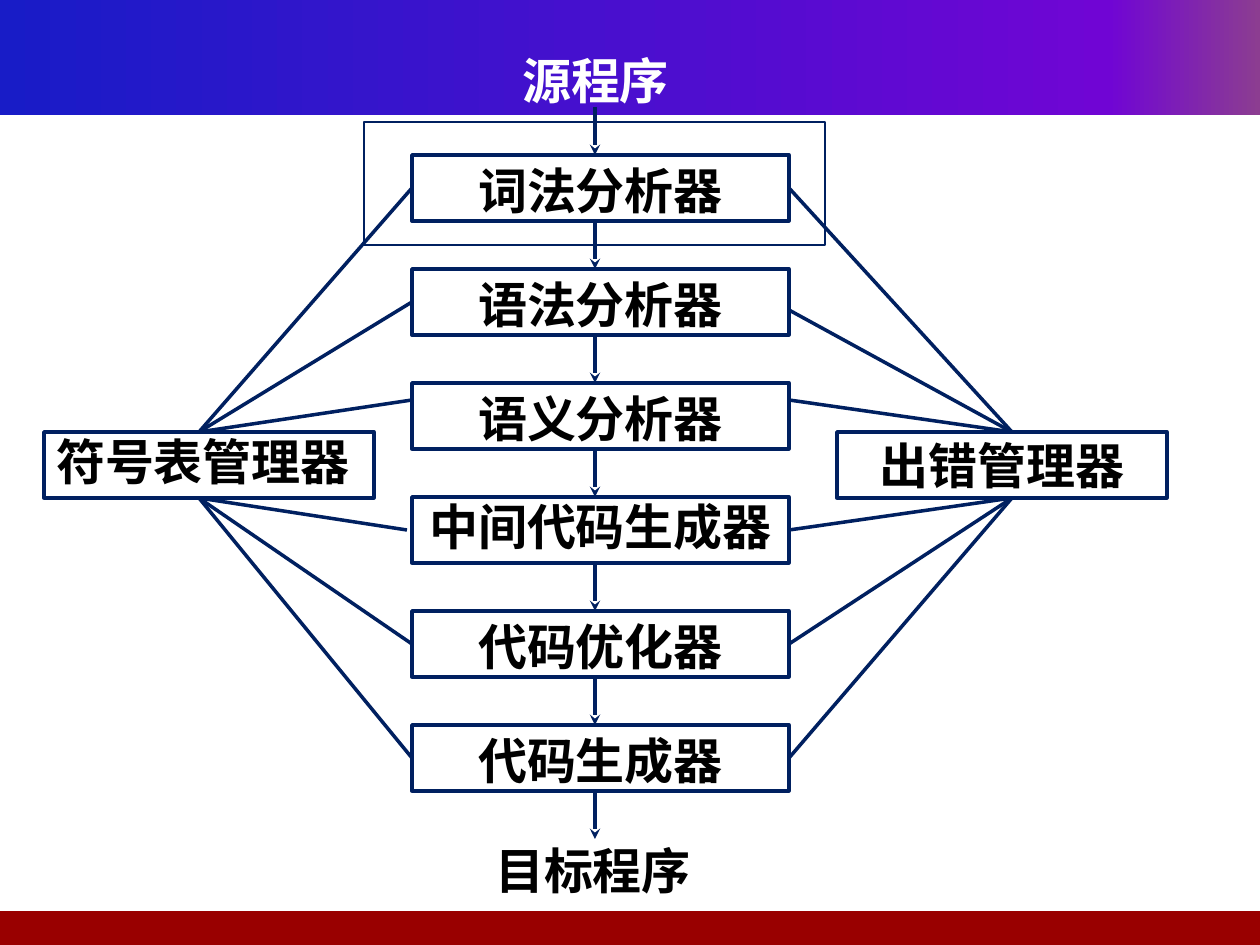
from copy import deepcopy

from lxml import etree
from pptx import Presentation
from pptx.dml.color import RGBColor
from pptx.enum.shapes import MSO_CONNECTOR, MSO_SHAPE
from pptx.enum.text import MSO_ANCHOR, PP_ALIGN
from pptx.oxml.ns import qn
from pptx.util import Emu, Pt

RECTANGLE = MSO_SHAPE.RECTANGLE
STRAIGHT = MSO_CONNECTOR.STRAIGHT
CENTER = PP_ALIGN.CENTER
TOP, MIDDLE = MSO_ANCHOR.TOP, MSO_ANCHOR.MIDDLE
LEFT_SIDE, RIGHT_SIDE = 1, 3

NAVY = RGBColor(0x00, 0x20, 0x60)
BLACK = RGBColor(0x00, 0x00, 0x00)
WHITE = RGBColor(0xFF, 0xFF, 0xFF)
DARK_RED = RGBColor(0x99, 0x00, 0x00)
HEADER_STOPS = [
    (0, RGBColor(0x18, 0x1C, 0xC7)),
    (0.88, RGBColor(0x70, 0x05, 0xD4)),
    (1, RGBColor(0x8C, 0x3D, 0x91)),
]

FONT = "Noto Sans CJK SC"
INSETS = (13, 6, 13, 6)
LOW_INSETS = (13, 0, 13, 6)
SHIFTED_INSETS = (8, 0, 20, 6)

STAGES = ["词法分析器", "语法分析器", "语义分析器", "中间代码生成器", "代码优化器", "代码生成器"]
STAGE_LEFT, STAGE_TOP, STAGE_WIDTH, STEP = 412, 155, 377, 114
BOX_HEIGHT = 66
STAGE_RIGHT = STAGE_LEFT + STAGE_WIDTH
MANAGER_TOP, MANAGER_WIDTH = 432, 330
FLOW_X, ARROW_LENGTH = 595, 48
SYMBOL_HUB, ERROR_HUB = 199, 1012
UPPER_STAGES = 3


def px(length):
    """Turn pixels at 126 to the inch into EMU."""
    return Emu(round(length * 914400 / 126))


class Diagram:
    """Holds the shared style and the slide being drawn."""

    def __init__(self, slide):
        self.slide = slide

    def rectangle(self, x, y, width, height, line_width=None):
        shape = self.slide.shapes.add_shape(RECTANGLE, px(x), px(y), px(width), px(height))
        shape.shadow.inherit = False
        shape.fill.background()
        if line_width:
            shape.line.color.rgb = NAVY
            shape.line.width = Pt(line_width)
        else:
            shape.line.fill.background()
        return shape

    def band(self, x, y, width, height, color):
        fill = self.rectangle(x, y, width, height).fill
        fill.solid()
        fill.fore_color.rgb = color

    def gradient_band(self, x, y, width, height, stops):
        band = self.rectangle(x, y, width, height)
        band.fill.gradient()
        band.fill.gradient_angle = 0
        elements = band._element.spPr.find(".//" + qn("a:gsLst"))
        while len(elements) < len(stops):
            elements.append(deepcopy(elements[-1]))
        for stop, (position, color) in zip(band.fill.gradient_stops, stops):
            stop.position = position
            stop.color.rgb = color

    def set_text(self, shape, words, color=BLACK, insets=INSETS, anchor=TOP):
        frame = shape.text_frame
        frame.word_wrap = True
        frame.vertical_anchor = anchor
        (frame.margin_left, frame.margin_top,
         frame.margin_right, frame.margin_bottom) = map(px, insets)
        paragraph = frame.paragraphs[0]
        paragraph.alignment = CENTER
        run = paragraph.add_run()
        run.text = words
        run.font.name = FONT
        run.font.size = Pt(28)
        run.font.bold = True
        run.font.color.rgb = color
        etree.SubElement(run._r.get_or_add_rPr(), qn("a:ea"), typeface=FONT)

    def box(self, x, y, width, words, insets=INSETS, anchor=TOP):
        shape = self.rectangle(x, y, width, BOX_HEIGHT, 2)
        self.set_text(shape, words, insets=insets, anchor=anchor)
        return shape

    def label(self, x, y, width, words, color):
        shape = self.slide.shapes.add_textbox(px(x), px(y), px(width), px(BOX_HEIGHT))
        self.set_text(shape, words, color)

    def line(self, start, end):
        connector = self.slide.shapes.add_connector(STRAIGHT, *map(px, (*start, *end)))
        connector.line.color.rgb = NAVY
        connector.line.width = Pt(2)
        etree.SubElement(connector._element.spPr, qn("a:effectLst"))
        return connector

    def arrow(self, start, end):
        outline = self.line(start, end)._element.spPr.find(qn("a:ln"))
        etree.SubElement(outline, qn("a:tailEnd"), type="stealth")

    def link(self, stage, side, start, hub):
        connector = self.line(start, hub)
        middle = stage.top + stage.height // 2
        edge = stage.left + (stage.width if side == RIGHT_SIDE else 0)
        if abs(connector.begin_y - middle) < px(1) and abs(connector.begin_x - edge) < px(1):
            connector.begin_connect(stage, side)


def main():
    presentation = Presentation()
    presentation.slide_width, presentation.slide_height = px(1260), px(945)
    diagram = Diagram(presentation.slides.add_slide(presentation.slide_layouts[6]))

    diagram.gradient_band(0, 0, 1260, 115, HEADER_STOPS)
    diagram.band(-5, 911, 1265, 34, DARK_RED)
    diagram.label(407, 45, 377, "源程序", WHITE)
    diagram.label(430, 835, 326, "目标程序", BLACK)

    stage_boxes = []
    for index, words in enumerate(STAGES):
        insets = LOW_INSETS if words == "中间代码生成器" else INSETS
        top = STAGE_TOP + index * STEP
        stage_boxes.append(diagram.box(STAGE_LEFT, top, STAGE_WIDTH, words, insets))
    diagram.box(837, MANAGER_TOP, MANAGER_WIDTH, "出错管理器", anchor=MIDDLE)
    diagram.box(44, MANAGER_TOP, MANAGER_WIDTH, "符号表管理器", SHIFTED_INSETS)

    for index in range(len(STAGES) + 1):
        tip = STAGE_TOP + index * STEP
        diagram.arrow((FLOW_X, tip - ARROW_LENGTH), (FLOW_X, tip))

    symbol_ends = [(STAGE_LEFT, 188), (STAGE_LEFT, 302), (STAGE_LEFT, 400),
                   (407, 530), (STAGE_LEFT, 644), (STAGE_LEFT, 758)]
    error_ends = [(STAGE_RIGHT, y) for y in (188, 310, 400, 530, 644, 758)]
    for index, stage in enumerate(stage_boxes):
        hub_y = MANAGER_TOP if index < UPPER_STAGES else MANAGER_TOP + BOX_HEIGHT
        diagram.link(stage, LEFT_SIDE, symbol_ends[index], (SYMBOL_HUB, hub_y))
        diagram.link(stage, RIGHT_SIDE, error_ends[index], (ERROR_HUB, hub_y))

    diagram.rectangle(364, 122, 461, 123, 1)
    presentation.save("out.pptx")


if __name__ == "__main__":
    main()
